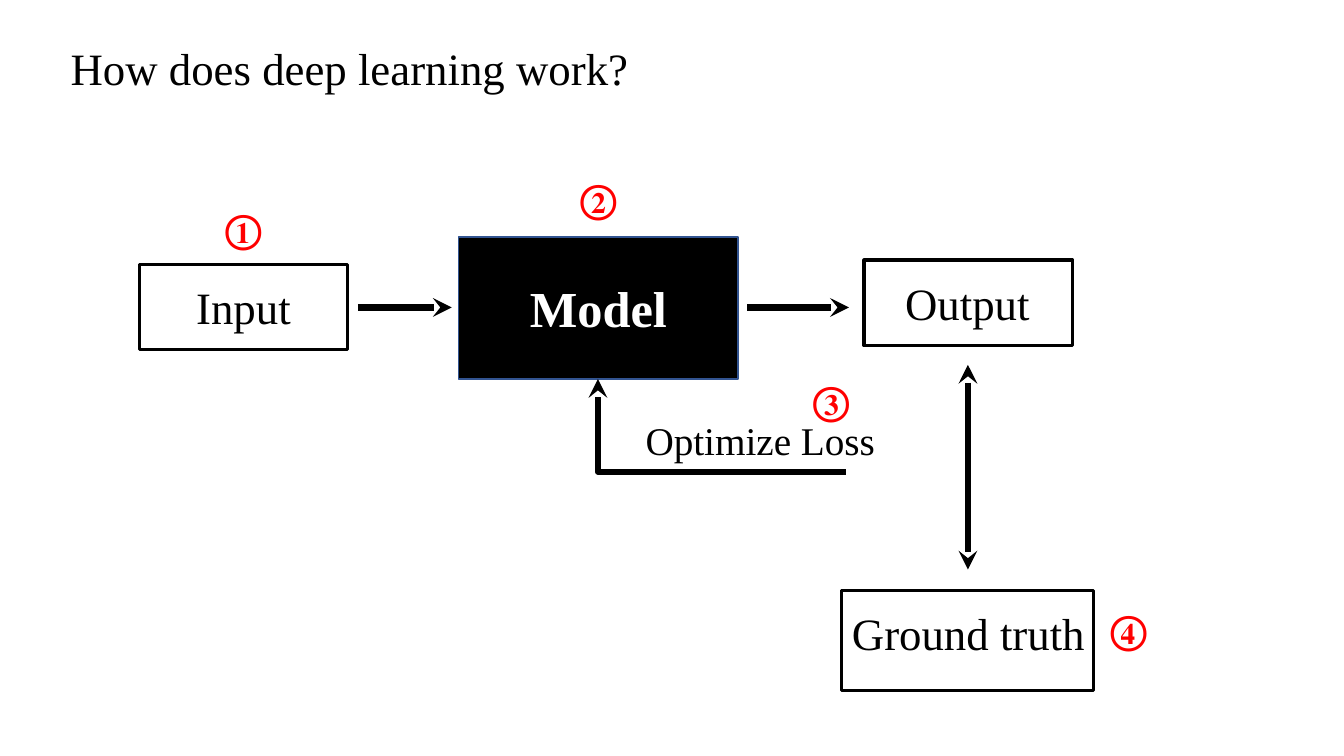
from lxml import etree
from pptx import Presentation
from pptx.dml.color import RGBColor
from pptx.enum.shapes import MSO_CONNECTOR, MSO_SHAPE
from pptx.enum.text import MSO_ANCHOR, MSO_AUTO_SIZE, PP_ALIGN
from pptx.oxml.ns import qn
from pptx.util import Emu, Pt

RECTANGLE = MSO_SHAPE.RECTANGLE
STRAIGHT = MSO_CONNECTOR.STRAIGHT
LEFT, CENTER = PP_ALIGN.LEFT, PP_ALIGN.CENTER

PX = 9144  # 100 px to the inch
TITLE_ONLY = 5
COLORS = {"ink": "000000", "paper": "FFFFFF", "marker": "FF0000", "model_edge": "325491"}


def rgb(name):
    return RGBColor.from_string(COLORS[name])


def px(*lengths):
    return [Emu(length * PX) for length in lengths]


def write(frame, text, size=32, color="ink", bold=False, align=CENTER):
    frame.word_wrap = True
    frame.auto_size = MSO_AUTO_SIZE.NONE
    frame.vertical_anchor = MSO_ANCHOR.TOP
    paragraph = frame.paragraphs[0]
    paragraph.alignment = align
    paragraph.line_spacing = 1.0
    run = paragraph.add_run()
    run.text = text
    run.font.name = "Times New Roman"
    run.font.size = Pt(size)
    run.font.bold = bold
    run.font.color.rgb = rgb(color)


class Diagram:
    def __init__(self, presentation):
        layout = presentation.slide_layouts[TITLE_ONLY]
        self.slide = presentation.slides.add_slide(layout)
        self.shapes = self.slide.shapes
        self.arrow_width = Pt(4.5)

    def title(self, text, left, top, width, height):
        heading = self.shapes.title
        heading.left, heading.top, heading.width, heading.height = px(left, top, width, height)
        write(heading.text_frame, text, align=LEFT)

    def label(self, text, left, top, width, height, **style):
        box = self.shapes.add_textbox(*px(left, top, width, height))
        write(box.text_frame, text, **style)
        return box

    def node(self, text, frame, label, fill=None, edge="ink", edge_width=2.25, **style):
        """Group a rectangle with the label that lies over it."""
        block = self.shapes.add_shape(RECTANGLE, *px(*frame))
        block.shadow.inherit = False
        if fill:
            block.fill.solid()
            block.fill.fore_color.rgb = rgb(fill)
        else:
            block.fill.background()
        block.line.color.rgb = rgb(edge)
        block.line.width = Pt(edge_width)
        self.shapes.add_group_shape([block, self.label(text, *label, **style)])

    def arrow(self, start, end, heads=("tailEnd",)):
        link = self.shapes.add_connector(STRAIGHT, *px(*start, *end))
        link.line.color.rgb = rgb("ink")
        link.line.width = self.arrow_width
        outline = link.line._get_or_add_ln()
        for head in heads:
            etree.SubElement(outline, qn(f"a:{head}"), type="stealth")
        etree.SubElement(link._element.spPr, qn("a:effectLst"))
        return link

    def feedback_arrow(self, tip, tail):
        """Run left from the tail, then up to the tip."""
        link = self.arrow(tip, tail)
        link.rotation = 180
        properties = link._element.spPr
        properties.find(qn("a:xfrm")).set("rot", str(180 * 60000))
        properties.find(qn("a:prstGeom")).set("prst", "bentConnector2")

    def marker(self, number, left, top):
        self.label(number, left, top, 129, 57, size=28, color="marker", bold=True)


def main():
    presentation = Presentation()
    presentation.slide_width, presentation.slide_height = px(1333, 750)
    diagram = Diagram(presentation)

    diagram.title("How does deep learning work?", 60, 35, 657, 64)
    diagram.node("Model", (455, 235, 277, 141), (455, 270, 277, 71), fill="ink",
                 edge="model_edge", edge_width=1, size=36, color="paper", bold=True)
    diagram.node("Input", (138, 262, 207, 85), (121, 273, 241, 64))
    diagram.node("Output", (857, 258, 207, 85), (839, 269, 241, 64))
    diagram.node("Ground truth", (835, 586, 250, 99), (818, 596, 285, 64))

    diagram.arrow((355, 305), (448, 305))
    diagram.arrow((741, 305), (842, 305))
    diagram.arrow((960, 362), (960, 565), heads=("headEnd", "tailEnd"))
    diagram.feedback_arrow(tip=(593, 376), tail=(839, 468))
    diagram.label("Optimize Loss", 593, 408, 322, 57, size=28)

    for number, left, top in (("①", 177, 198), ("②", 529, 168),
                              ("③", 760, 368), ("④", 1055, 596)):
        diagram.marker(number, left, top)

    presentation.save("out.pptx")


if __name__ == "__main__":
    main()
